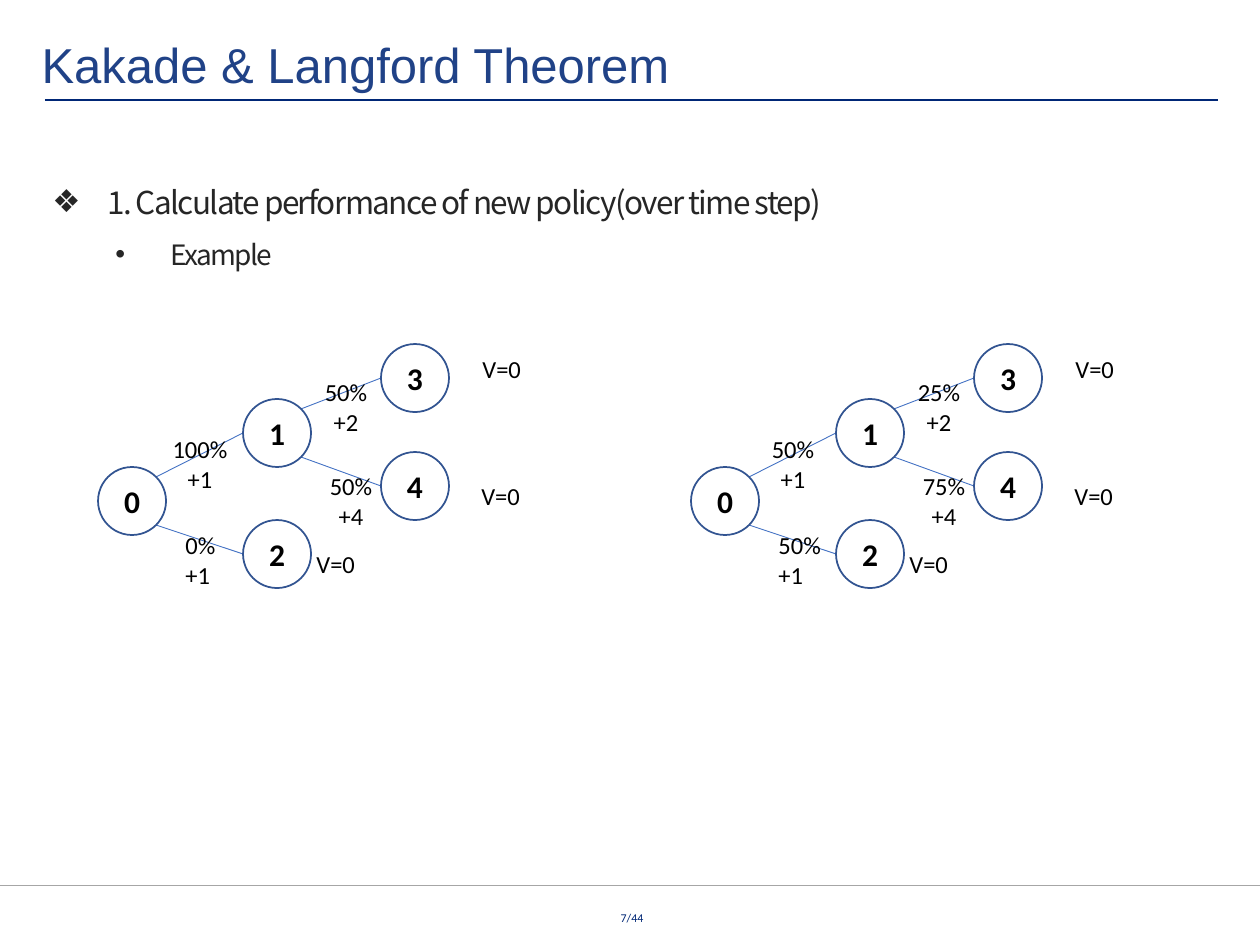
from typing import NamedTuple

from lxml import etree
from pptx import Presentation
from pptx.dml.color import RGBColor
from pptx.enum.shapes import MSO_CONNECTOR, MSO_SHAPE
from pptx.enum.text import MSO_ANCHOR, MSO_AUTO_SIZE, PP_ALIGN
from pptx.oxml.ns import qn
from pptx.util import Emu, Pt

LINE, OVAL = MSO_CONNECTOR.STRAIGHT, MSO_SHAPE.OVAL
LEFT, MID = PP_ALIGN.LEFT, PP_ALIGN.CENTER
TOP, CORE = MSO_ANCHOR.TOP, MSO_ANCHOR.MIDDLE
GROW = MSO_AUTO_SIZE.SHAPE_TO_FIT_TEXT
SCALE = 914400 / 126
SIZE = 68  # node diameter
DIAG = 24  # node centre to its 45 degree point, along each axis
SANS, BODY, HEAD = "Calibri", "Noto Sans CJK KR", "Arial"


class Node(NamedTuple):
    name: str
    x: int
    y: int


class Edge(NamedTuple):
    start: int
    end: int
    up: bool


class Label(NamedTuple):
    x: int
    y: int
    gain: str
    align: PP_ALIGN


class Tree(NamedTuple):
    x: int
    odds: tuple[str, ...]


class Item(NamedTuple):
    text: str
    size: int
    mark: str
    left: int


NODES = [Node("0", 98, 467), Node("1", 243, 399), Node("2", 243, 520),
         Node("3", 381, 344), Node("4", 381, 452)]
EDGES = [Edge(0, 2, False), Edge(0, 1, True), Edge(1, 3, True), Edge(1, 4, False)]
# x is the centre of a centred label and the left side of the other
LABELS = [Label(200, 428, "+1", MID), Label(173, 524, "+1", LEFT),
          Label(346, 371, "+2", MID), Label(351, 465, "+4", MID)]
VALUES = [(470, 348), (469, 475), (304, 543)]
TREES = [Tree(0, ("100%", "0%", "50%", "50%")),
         Tree(593, ("50%", "50%", "25%", "75%"))]
ITEMS = [Item("1. Calculate performance of new policy(over time step)", 18, "❖", 55),
         Item("Example", 16, "•", 118)]


def px(num: float) -> Emu:
    return Emu(round(num * SCALE))


def color(code: str) -> RGBColor:
    return RGBColor.from_string(code)


def style(frame, size: float, font: str, code: str, align=LEFT, bold=False) -> None:
    for para in frame.paragraphs:
        para.alignment = align
        for run in para.runs:
            run.font.size = Pt(size)
            run.font.name = font
            run.font.bold = bold
            run.font.color.rgb = color(code)


def draw_line(shapes, x1, y1, x2, y2, code: str, width: float) -> None:
    line = shapes.add_connector(LINE, px(x1), px(y1), px(x2), px(y2))
    line.line.color.rgb = color(code)
    line.line.width = Pt(width)
    etree.SubElement(line._element.spPr, qn("a:effectLst"))


def draw_edge(shapes, edge: Edge, shift: int) -> None:
    """Join the diagonal point of one node to the left side of the next."""
    start, end = NODES[edge.start], NODES[edge.end]
    half = SIZE // 2
    rise = -DIAG if edge.up else DIAG
    draw_line(shapes, shift + start.x + half + DIAG, start.y + half + rise,
              shift + end.x, end.y + half, "4472C4", 0.5)


def draw_node(shapes, node: Node, shift: int) -> None:
    oval = shapes.add_shape(OVAL, px(shift + node.x), px(node.y), px(SIZE), px(SIZE))
    oval.shadow.inherit = False
    oval.fill.background()
    oval.line.color.rgb = color("325491")
    oval.line.width = Pt(1)
    frame = oval.text_frame
    frame.vertical_anchor = CORE
    frame.text = node.name
    style(frame, 18, SANS, "000000", MID, True)


def draw_text(shapes, text: str, x, y, width, height, align=LEFT) -> None:
    frame = shapes.add_textbox(px(x), px(y), px(width), px(height)).text_frame
    frame.word_wrap = False
    frame.auto_size = GROW
    frame.text = text
    style(frame, 14, SANS, "000000", align)


def draw_tree(shapes, tree: Tree) -> None:
    group = shapes.add_group_shape().shapes
    for edge in EDGES:
        draw_edge(group, edge, tree.x)
    for node in NODES:
        draw_node(group, node, tree.x)
    for label, odds in zip(LABELS, tree.odds):
        width = 29 + 13 * len(odds)
        left = tree.x + label.x - (width / 2 if label.align == MID else 0)
        draw_text(shapes, f"{odds}\n{label.gain}", left, label.y, width, 72, label.align)
    for x, y in VALUES:
        draw_text(shapes, "V=0", tree.x + x, y, 64, 43)


def draw_title(slide) -> None:
    title = slide.shapes.title
    title.left, title.top, title.width, title.height = map(px, (29, 28, 1041, 72))
    frame = title.text_frame
    frame.text = "Kakade & Langford Theorem"
    frame.vertical_anchor = TOP
    frame.auto_size = GROW
    style(frame, 28, HEAD, "204287")


def draw_items(shapes) -> None:
    frame = shapes.add_textbox(px(40), px(158), px(1182), px(115)).text_frame
    frame.word_wrap = True
    frame.auto_size = GROW
    frame.text = "\n".join(item.text for item in ITEMS)
    style(frame, 18, BODY, "262626")
    for level, (para, item) in enumerate(zip(frame.paragraphs, ITEMS)):
        para.level = level
        para.line_spacing = 1.5
        props = para._p.get_or_add_pPr()
        props.set("marL", str(px(item.left)))
        props.set("indent", str(px(-55)))
        etree.SubElement(props, qn("a:buFont")).set("typeface", HEAD)
        etree.SubElement(props, qn("a:buChar")).set("char", item.mark)
        font = para.runs[0].font
        font.size = Pt(item.size)
        font._element.set("spc", "-90")


def draw_page(shapes) -> None:
    frame = shapes.add_textbox(px(479), px(916), px(306), px(26)).text_frame
    frame.margin_left = frame.margin_right = 0
    frame.margin_top = frame.margin_bottom = 0
    frame.word_wrap = True
    frame.text = "7/44"
    frame.paragraphs[0].line_spacing = Pt(5.1)
    style(frame, 6.8, SANS, "002776", MID)


def main() -> None:
    deck = Presentation()
    deck.slide_width, deck.slide_height = px(1260), px(945)
    slide = deck.slides.add_slide(deck.slide_layouts[5])
    shapes = slide.shapes
    draw_page(shapes)
    draw_line(shapes, 45, 100, 1218, 100, "002776", 0.75)
    draw_line(shapes, 0, 885, 1260, 885, "A6A6A6", 0.25)
    draw_title(slide)
    draw_items(shapes)
    for tree in TREES:
        draw_tree(shapes, tree)
    deck.save("out.pptx")


if __name__ == "__main__":
    main()
